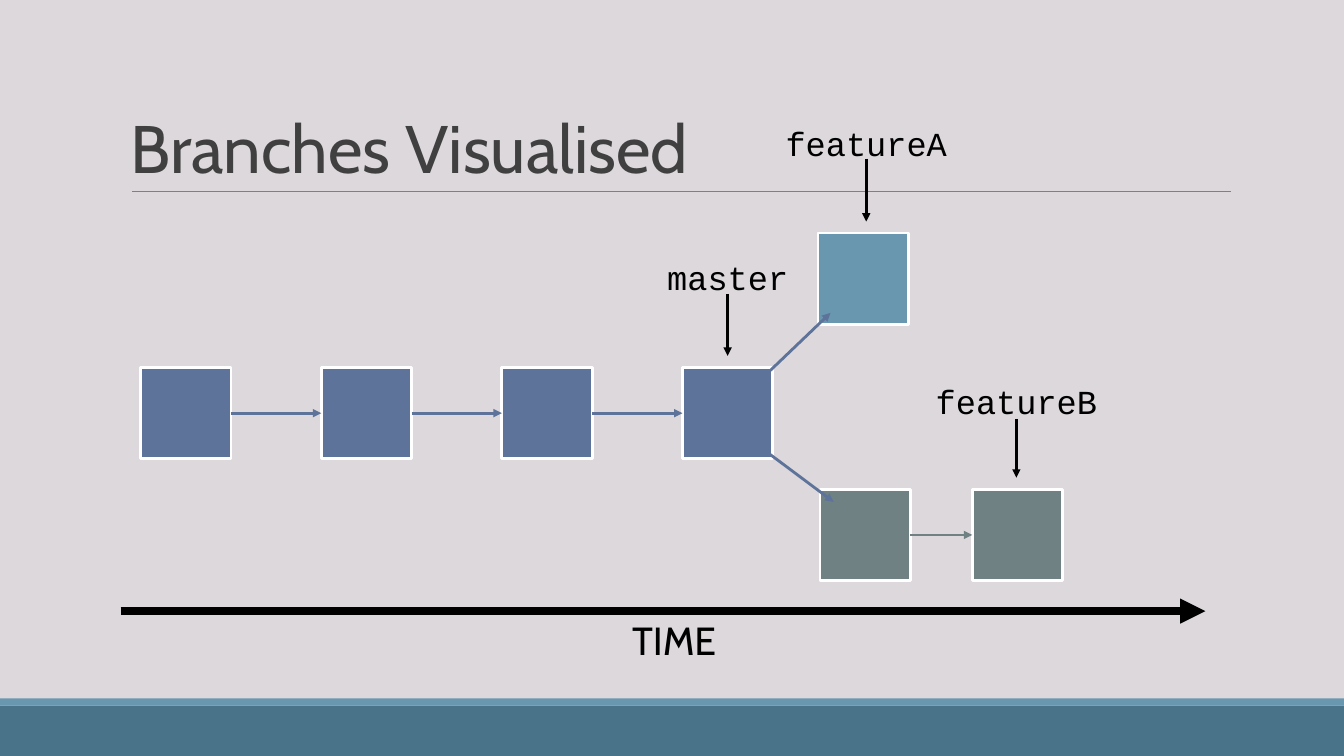
from dataclasses import dataclass

from lxml.etree import SubElement
from pptx import Presentation
from pptx.dml.color import RGBColor
from pptx.enum.shapes import MSO_CONNECTOR, MSO_SHAPE
from pptx.enum.text import MSO_ANCHOR, PP_ALIGN
from pptx.oxml.ns import qn
from pptx.shapes.autoshape import Shape
from pptx.shapes.connector import Connector
from pptx.slide import Slide
from pptx.util import Emu, Pt

EMU_PER_PX = 9525
SLIDE_WIDTH, SLIDE_HEIGHT = 1280, 720
COMMIT_WIDTH, COMMIT_HEIGHT = 86, 87
MASTER_LEFT, MASTER_TOP, MASTER_STEP = 134, 350, 172
FEATURE_B_TOP = 466
LABEL_WIDTH, TEXT_HEIGHT = 182, 54
BLACK, WHITE = "000000", "FFFFFF"
MASTER_COLOR, FEATURE_A_COLOR, FEATURE_B_COLOR = "5D739A", "6997AF", "6F8183"


@dataclass(frozen=True)
class Box:
    """A rectangle with a fill and an optional outline."""

    left: int
    top: int
    width: int
    height: int
    fill: str
    outline: str | None = None


@dataclass(frozen=True)
class Line:
    """A straight line with an optional arrowhead."""

    start: tuple[int, int]
    end: tuple[int, int]
    color: str
    weight: float = 2
    arrow: bool = True


@dataclass(frozen=True)
class Label:
    """A single line of text in a box."""

    text: str
    left: int
    top: int
    width: int
    height: int
    size: int
    font: str = "Cabin"
    color: str = BLACK
    wrap: bool = True
    anchor: MSO_ANCHOR = MSO_ANCHOR.TOP
    align: PP_ALIGN = PP_ALIGN.CENTER
    spacing: float = 1.0


@dataclass(frozen=True)
class BranchPointer:
    """A branch name above an arrow pointing down at a commit."""

    name: str
    center: int
    label_top: int
    arrow_top: int
    arrow_bottom: int


def px(length: int) -> Emu:
    """Turn pixels into EMU."""
    return Emu(length * EMU_PER_PX)


def rgb(color: str) -> RGBColor:
    """Turn a hex string into a colour."""
    return RGBColor.from_string(color)


def apply_format(target: object, values: dict[str, object]) -> None:
    """Set every named attribute on the target."""
    for name, value in values.items():
        setattr(target, name, value)


def draw_box(slide: Slide, box: Box) -> Shape:
    """Draw a filled rectangle."""
    shape = slide.shapes.add_shape(
        MSO_SHAPE.RECTANGLE, px(box.left), px(box.top), px(box.width), px(box.height)
    )
    shape.shadow.inherit = False
    shape.fill.solid()
    shape.fill.fore_color.rgb = rgb(box.fill)
    if box.outline:
        shape.line.color.rgb = rgb(box.outline)
        shape.line.width = Pt(2)
    else:
        shape.line.fill.background()
    return shape


def draw_commit(slide: Slide, left: int, top: int, color: str) -> Shape:
    """Draw one commit square."""
    return draw_box(slide, Box(left, top, COMMIT_WIDTH, COMMIT_HEIGHT, color, WHITE))


def draw_line(slide: Slide, line: Line) -> Connector:
    """Draw a straight connector."""
    connector = slide.shapes.add_connector(
        MSO_CONNECTOR.STRAIGHT, *map(px, line.start + line.end)
    )
    connector.line.color.rgb = rgb(line.color)
    connector.line.width = Pt(line.weight)
    if line.arrow:
        SubElement(connector.line._get_or_add_ln(), qn("a:tailEnd"), type="triangle")
    SubElement(connector._element.spPr, qn("a:effectLst"))
    return connector


def join_commits(slide: Slide, commits: list[Shape], color: str) -> None:
    """Join each commit to the next one with an arrow."""
    for earlier, later in zip(commits, commits[1:]):
        connector = draw_line(slide, Line((0, 0), (1, 1), color))
        connector.begin_connect(earlier, 3)
        connector.end_connect(later, 1)


def draw_label(slide: Slide, label: Label) -> None:
    """Draw a text box."""
    shape = slide.shapes.add_textbox(
        px(label.left), px(label.top), px(label.width), px(label.height)
    )
    frame = shape.text_frame
    apply_format(frame, {"word_wrap": label.wrap, "vertical_anchor": label.anchor})
    paragraph = frame.paragraphs[0]
    apply_format(paragraph, {"alignment": label.align, "line_spacing": label.spacing})
    run = paragraph.add_run()
    run.text = label.text
    apply_format(run.font, {"name": label.font, "size": Pt(label.size)})
    run.font.color.rgb = rgb(label.color)


def draw_pointer(slide: Slide, pointer: BranchPointer) -> None:
    """Draw a branch name and its arrow."""
    left = pointer.center - LABEL_WIDTH // 2
    draw_label(
        slide,
        Label(pointer.name, left, pointer.label_top, LABEL_WIDTH, TEXT_HEIGHT, 24,
              font="Courier New", wrap=False),
    )
    start = (pointer.center, pointer.arrow_top)
    draw_line(slide, Line(start, (pointer.center, pointer.arrow_bottom), BLACK))


def main() -> None:
    """Build the slide and save it."""
    presentation = Presentation()
    apply_format(
        presentation,
        {"slide_width": px(SLIDE_WIDTH), "slide_height": px(SLIDE_HEIGHT)},
    )
    slide = presentation.slides.add_slide(presentation.slide_layouts[6])
    slide.background.fill.solid()
    slide.background.fill.fore_color.rgb = rgb("DCD8DC")

    draw_box(slide, Box(0, 672, SLIDE_WIDTH, 48, "497389"))
    draw_box(slide, Box(0, 665, SLIDE_WIDTH, 7, FEATURE_A_COLOR))
    draw_line(slide, Line((126, 182), (1172, 182), "808080", 0.5, arrow=False))
    draw_label(
        slide,
        Label("Branches Visualised", 115, 30, 1056, 153, 48, color="404040",
              anchor=MSO_ANCHOR.BOTTOM, align=PP_ALIGN.LEFT, spacing=0.85),
    )
    draw_line(slide, Line((115, 582), (1148, 582), BLACK, 6))
    draw_label(slide, Label("TIME", 492, 582, 300, TEXT_HEIGHT, 28))

    master_commits = [
        draw_commit(slide, MASTER_LEFT + index * MASTER_STEP, MASTER_TOP, MASTER_COLOR)
        for index in range(4)
    ]
    draw_commit(slide, 779, 222, FEATURE_A_COLOR)
    feature_b_commits = [
        draw_commit(slide, left, FEATURE_B_TOP, FEATURE_B_COLOR) for left in (781, 926)
    ]
    join_commits(slide, master_commits, MASTER_COLOR)
    join_commits(slide, feature_b_commits, FEATURE_B_COLOR)
    draw_line(slide, Line((723, 363), (791, 298), MASTER_COLOR))
    draw_line(slide, Line((723, 425), (794, 478), MASTER_COLOR))

    for pointer in (
        BranchPointer("master", 693, 240, 280, 339),
        BranchPointer("featureA", 825, 112, 151, 211),
        BranchPointer("featureB", 968, 358, 399, 455),
    ):
        draw_pointer(slide, pointer)
    presentation.save("out.pptx")


if __name__ == "__main__":
    main()
